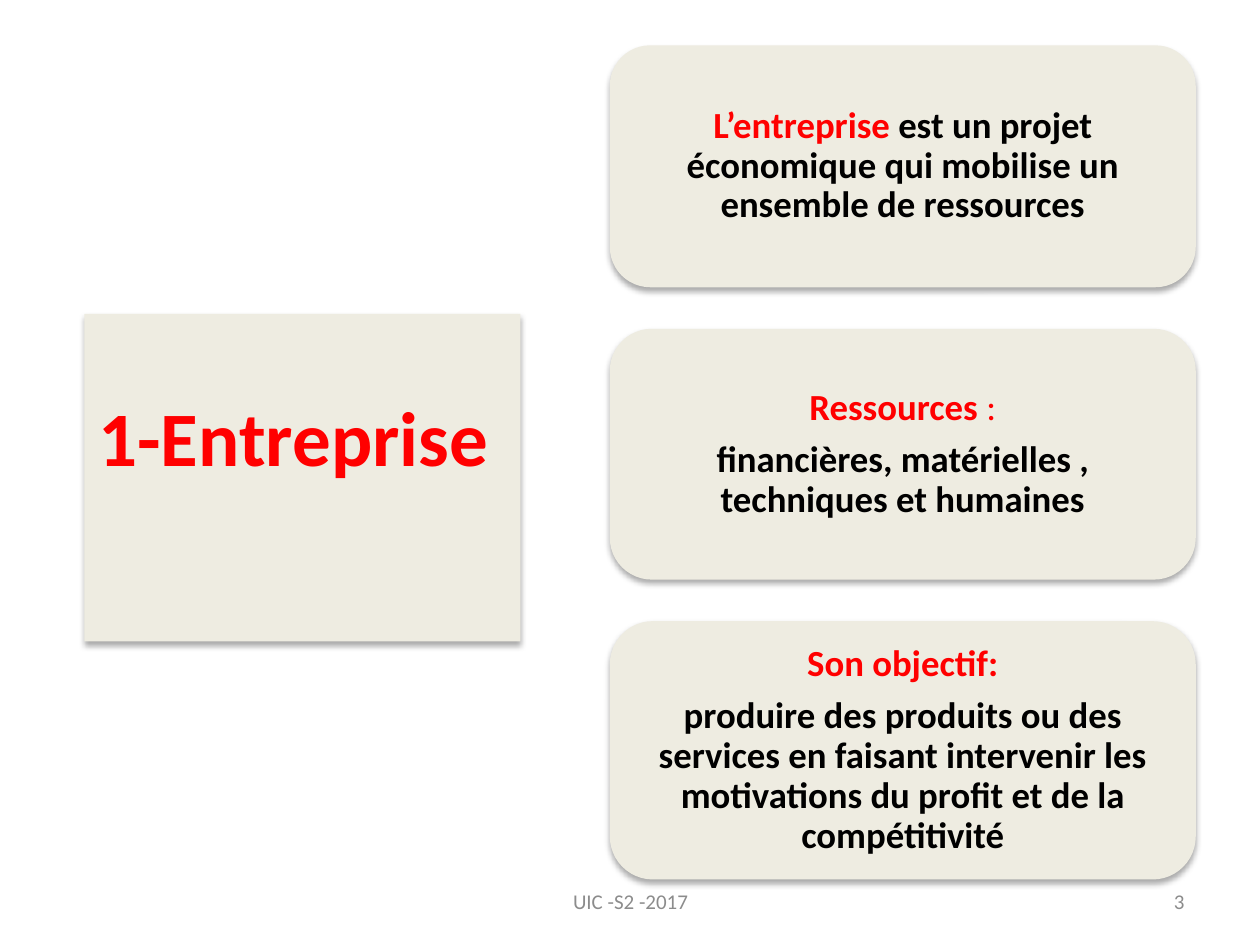
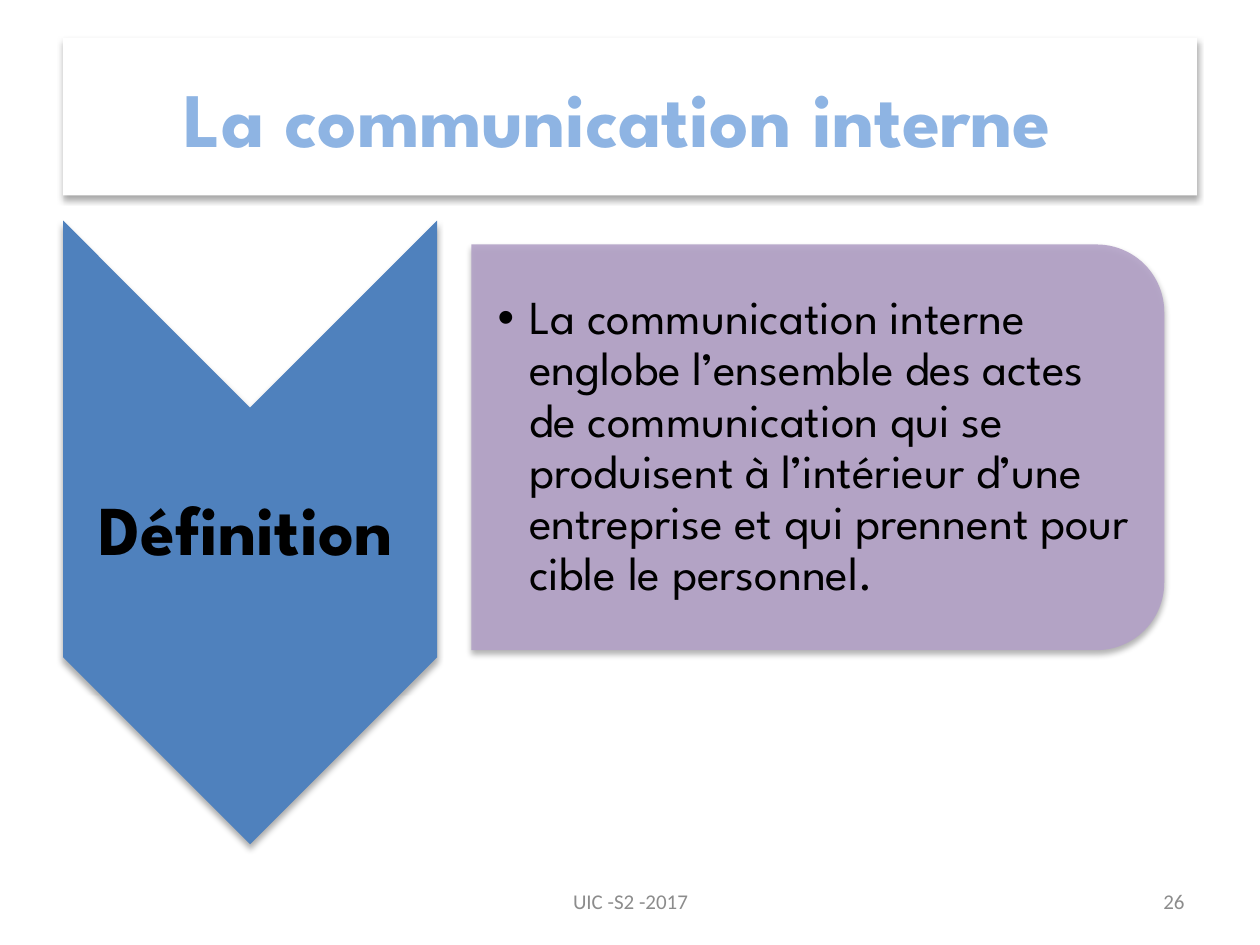
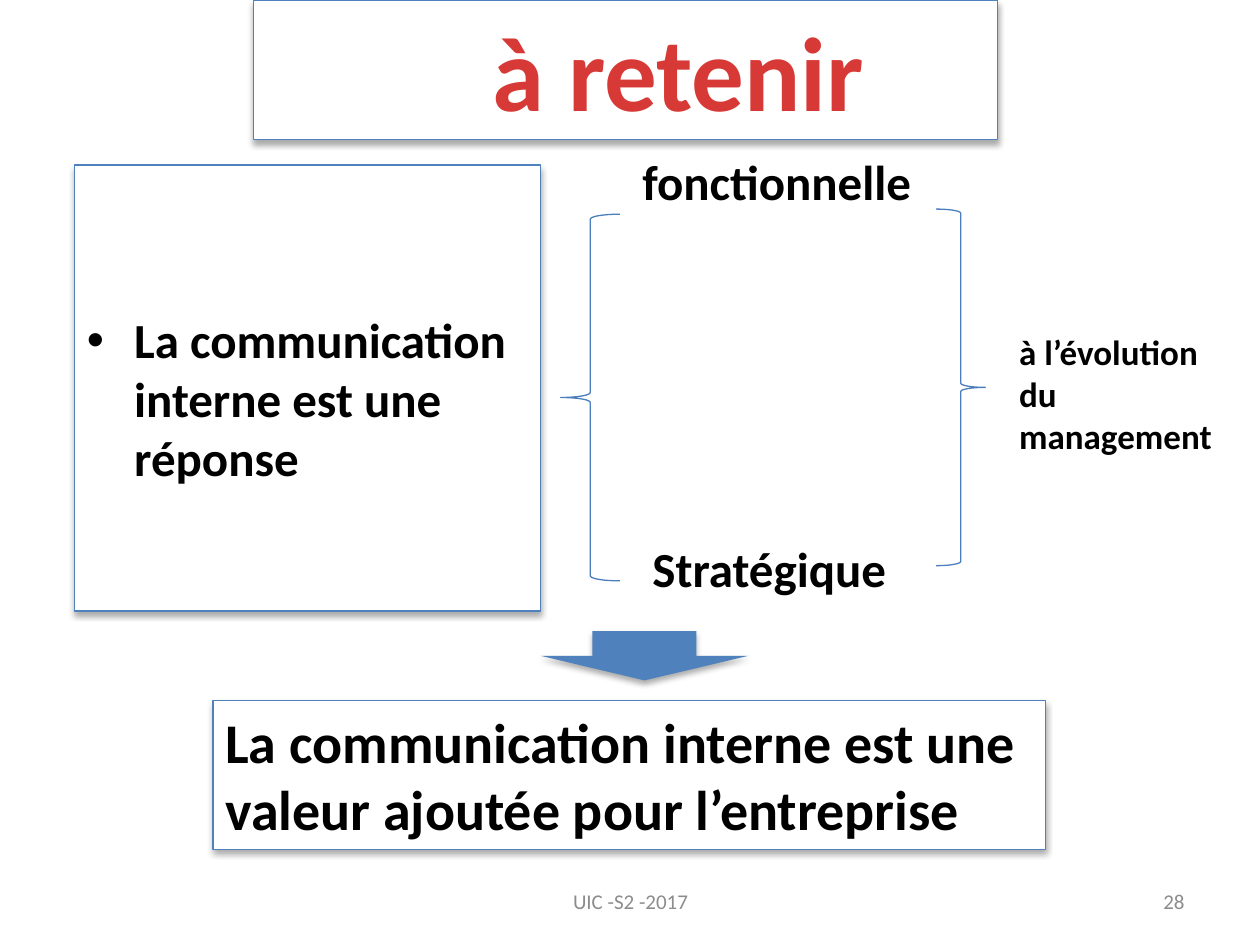
from lxml.etree import SubElement
from pptx import Presentation
from pptx.dml.color import RGBColor
from pptx.enum.shapes import MSO_SHAPE
from pptx.enum.text import MSO_ANCHOR, MSO_AUTO_SIZE, PP_ALIGN
from pptx.oxml.ns import qn
from pptx.util import Inches, Pt

COLORS = {
    "ink": "000000",
    "paper": "FFFFFF",
    "sand": "EEECE1",
    "red": "FF0000",
    "brick": "D73A36",
    "sky": "8EB4E3",
    "blue": "4F81BD",
    "brace": "4B7EBC",
    "lilac": "B3A2C7",
    "grey": "8C8C8C",
}
BODY_FONT = "Calibri"
DISPLAY_FONT = "League Spartan"
TITLE_AND_LIST, TITLE_ONLY = 1, 5


def rgb(name):
    return RGBColor.from_string(COLORS[name])


def write_text(frame, paragraphs, *, size=28, color="ink", bold=True, font=BODY_FONT,
               align=PP_ALIGN.LEFT, anchor=MSO_ANCHOR.MIDDLE, insets=(0.1, 0.05, 0.1, 0.05),
               wrap=True, spacing=None, after=0, margin=None, first=None):
    """Fill a frame; a paragraph is a string or a list of (text, overrides) runs."""
    frame.auto_size = MSO_AUTO_SIZE.NONE
    frame.word_wrap = wrap
    frame.vertical_anchor = anchor
    (frame.margin_left, frame.margin_top,
     frame.margin_right, frame.margin_bottom) = map(Inches, insets)
    for index, content in enumerate(paragraphs):
        paragraph = frame.paragraphs[0] if index == 0 else frame.add_paragraph()
        paragraph.alignment = align
        paragraph.space_before = Pt(0)
        paragraph.space_after = Pt(after)
        if spacing:
            paragraph.line_spacing = spacing
        properties = paragraph._p.get_or_add_pPr()
        if margin is not None:
            properties.set("marL", str(Inches(margin)))
        if first is not None:
            properties.set("indent", str(Inches(first)))
        runs = [(content, {})] if isinstance(content, str) else content
        for text, overrides in runs:
            run = paragraph.add_run()
            run.text = text
            run.font.name = font
            run.font.size = Pt(size)
            run.font.bold = overrides.get("bold", bold)
            run.font.color.rgb = rgb(overrides.get("color", color))


class Deck:
    def __init__(self):
        self.presentation = Presentation()
        self.presentation.slide_width = Inches(10)
        self.presentation.slide_height = Inches(7.5)
        self.slide = None

    def new_slide(self, layout, number):
        self.slide = self.presentation.slides.add_slide(
            self.presentation.slide_layouts[layout])
        footer = dict(size=12, color="grey", bold=False)
        self.text((3.42, 6.95, 3.17, 0.4), ["UIC -S2 -2017"],
                  align=PP_ALIGN.CENTER, **footer)
        self.text((7.17, 6.95, 2.33, 0.4), [str(number)], align=PP_ALIGN.RIGHT, **footer)

    def style(self, shape, fill=None, line=None, shadow=True, alpha=None):
        shape.shadow.inherit = False
        if fill:
            shape.fill.solid()
            shape.fill.fore_color.rgb = rgb(fill)
        else:
            shape.fill.background()
        if line:
            shape.line.color.rgb = rgb(line)
            shape.line.width = Pt(0.75)
        else:
            shape.line.fill.background()
        properties = shape._element.spPr
        if alpha:
            tint = properties.find(qn("a:solidFill")).find(qn("a:srgbClr"))
            SubElement(tint, qn("a:alpha"), val=str(alpha * 1000))
        if shadow:
            outer = SubElement(properties.find(qn("a:effectLst")), qn("a:outerShdw"),
                               blurRad=str(Pt(3.5)), dist=str(Pt(2.2)),
                               dir="5400000", rotWithShape="0")
            tint = SubElement(outer, qn("a:srgbClr"), val=COLORS["ink"])
            SubElement(tint, qn("a:alpha"), val="32000")

    def shape(self, kind, box, rotation=0, **look):
        shape = self.slide.shapes.add_shape(kind, *map(Inches, box))
        shape.rotation = rotation
        self.style(shape, **look)
        return shape

    def text(self, box, paragraphs, **text_format):
        frame = self.slide.shapes.add_textbox(*map(Inches, box)).text_frame
        write_text(frame, paragraphs, **text_format)

    def placeholder(self, index, box, paragraphs, fill=None, line=None, shadow=True,
                    **text_format):
        """Move a template placeholder to the front, then style and fill it."""
        holder = self.slide.placeholders[index]
        holder.left, holder.top, holder.width, holder.height = map(Inches, box)
        self.slide.shapes._spTree.append(holder._element)
        self.style(holder, fill, line, shadow)
        write_text(holder.text_frame, paragraphs, **text_format)

    def title(self, box, text, **options):
        self.placeholder(0, box, [text], **options)

    def bullets(self, box, items, **options):
        self.placeholder(1, box, items, **options)


def add_company(deck):
    deck.new_slide(TITLE_ONLY, 3)
    deck.title((0.67, 2.49, 3.46, 2.6), "1-Entreprise", fill="sand", size=44, color="red",
               align=PP_ALIGN.CENTER, insets=(0.1, 0.05, 0.24, 0.72))
    red = {"color": "red"}
    cards = [
        (1.92, [[("L’entreprise ", red),
                 ("est un projet économique qui mobilise un ensemble de ressources", {})]]),
        (1.99, [[("Ressources ", red), (":", {"color": "red", "bold": False})],
                "financières, matérielles , techniques et humaines"]),
        (2.05, [[("Son objectif:", red)],
                "produire des produits ou des services en faisant intervenir les "
                "motivations du profit et de la compétitivité"]),
    ]
    top, gap = 0.36, 0.33
    for height, paragraphs in cards:
        card = deck.shape(MSO_SHAPE.ROUNDED_RECTANGLE, (4.84, top, 4.65, height), fill="sand")
        write_text(card.text_frame, paragraphs, size=21, align=PP_ALIGN.CENTER,
                   insets=(0.09, 0.04, 0.09, 0.04), spacing=0.9, after=7.35)
        top += height + gap


def add_definition(deck):
    deck.new_slide(TITLE_AND_LIST, 26)
    deck.title((0.5, 0.3, 9, 1.25), "La communication interne", fill="paper", size=44,
               color="sky", font=DISPLAY_FONT, align=PP_ALIGN.CENTER,
               insets=(0.1, 0.05, 0.29, 0.05))
    deck.shape(MSO_SHAPE.CHEVRON, (-0.49, 2.74, 4.95, 2.97), rotation=90, fill="blue")
    deck.text((0.5, 3.24, 2.97, 1.98), ["Définition"], size=40, font=DISPLAY_FONT,
              align=PP_ALIGN.CENTER, insets=(0.03, 0.03, 0.1, 0.03), spacing=0.9)
    deck.shape(MSO_SHAPE.ROUND_2_SAME_RECTANGLE, (4.88, 0.8, 3.22, 5.5), rotation=90,
               fill="lilac", alpha=90)
    deck.bullets((3.74, 2.1, 5.34, 2.9),
                 ["La communication interne englobe l’ensemble des actes de communication "
                  "qui se produisent à l’intérieur d’une entreprise et qui prennent pour "
                  "cible le personnel."],
                 shadow=False, size=27, bold=False, font=DISPLAY_FONT, spacing=0.9,
                 insets=(0.21, 0.02, 0.02, 0.02), margin=0.25, first=-0.25)


def add_takeaway(deck):
    deck.new_slide(TITLE_AND_LIST, 28)
    frame_look = dict(fill="paper", line="blue")
    deck.bullets((0.59, 1.31, 3.7, 3.54), ["La communication interne est une réponse"],
                 anchor=MSO_ANCHOR.TOP, insets=(0.1, 1.15, 0.1, 0.05), **frame_look)
    brace_look = dict(line="brace", shadow=False)
    deck.shape(MSO_SHAPE.LEFT_BRACE, (4.45, 1.7, 0.47, 2.91), **brace_look)
    deck.shape(MSO_SHAPE.RIGHT_BRACE, (7.43, 1.66, 0.39, 2.83), **brace_look)
    deck.text((5, 1.15, 2.36, 0.57), ["fonctionnelle"], wrap=False)
    deck.text((5.08, 4.22, 2.83, 0.57), ["Stratégique"])
    deck.text((7.99, 2.57, 1.73, 1.11), ["à l’évolution", "du management"], size=20)
    deck.shape(MSO_SHAPE.DOWN_ARROW, (4.29, 5.01, 1.65, 0.39), fill="blue")
    conclusion = deck.shape(MSO_SHAPE.RECTANGLE, (1.69, 5.56, 6.61, 1.18), **frame_look)
    write_text(conclusion.text_frame,
               ["La communication interne est une valeur ajoutée pour l’entreprise"], size=32)
    deck.title((2.01, 0, 5.91, 1.11), "à retenir", size=60, color="brick",
               insets=(1.9, 0.05, 0.1, 0.05), **frame_look)


def main():
    deck = Deck()
    add_company(deck)
    add_definition(deck)
    add_takeaway(deck)
    deck.presentation.save("out.pptx")


if __name__ == "__main__":
    main()
